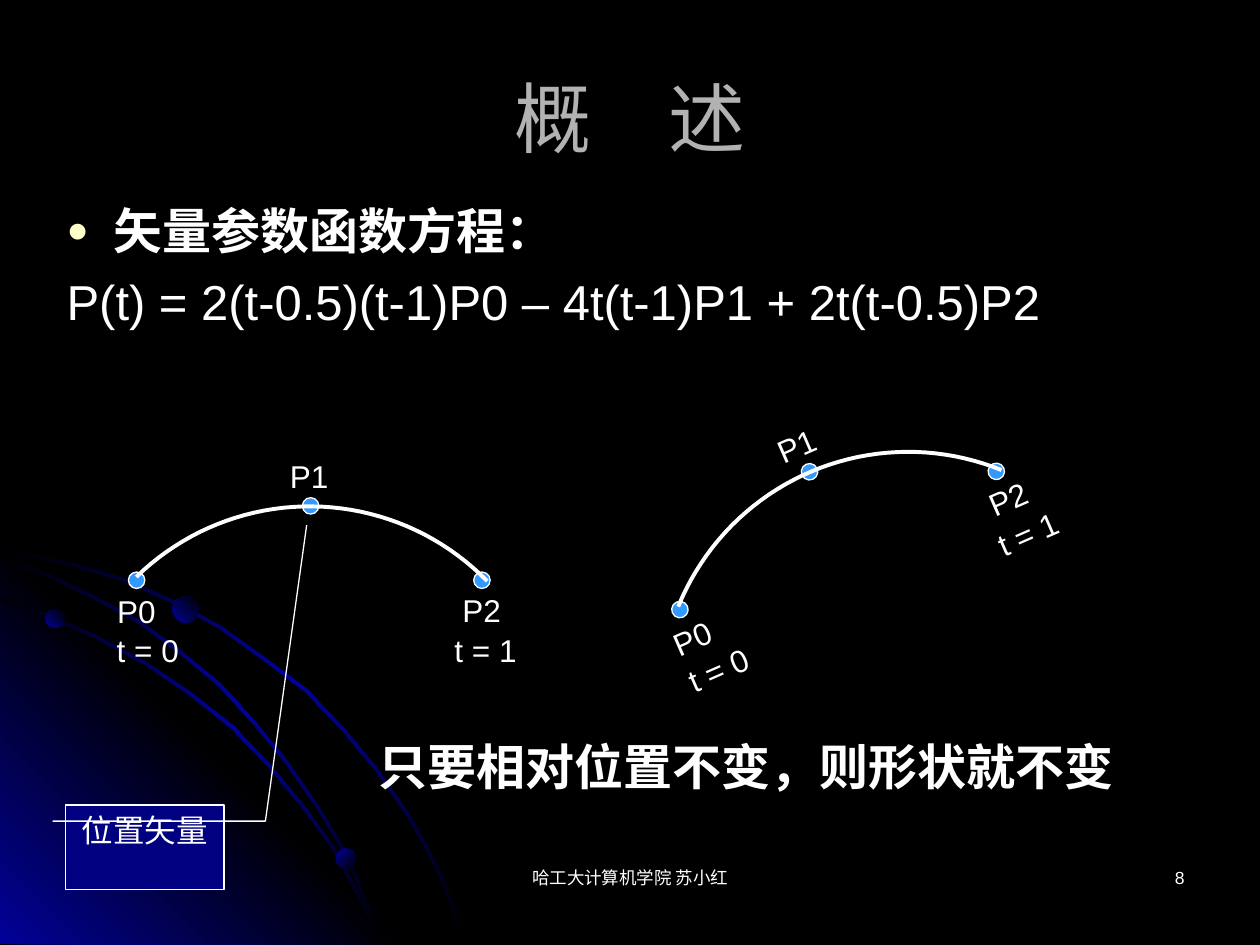
from math import cos, pi, radians, sin
from lxml import etree
from pptx import Presentation
from pptx.dml.color import RGBColor
from pptx.enum.shapes import MSO_SHAPE
from pptx.enum.text import MSO_ANCHOR, PP_ALIGN
from pptx.oxml.ns import qn
from pptx.util import Pt

OVAL, CALLOUT = MSO_SHAPE.OVAL, MSO_SHAPE.LINE_CALLOUT_2
LEFT, CENTER, RIGHT = PP_ALIGN.LEFT, PP_ALIGN.CENTER, PP_ALIGN.RIGHT
MIDDLE, TOP = MSO_ANCHOR.MIDDLE, MSO_ANCHOR.TOP
WHITE, BLACK, BLUE, SKY = "FFFFFF", "000000", "010199", "3399FF"
NAVY, GRAY, CREAM = "000080", "B2B2B2", "FFFFCC"


def color(code):
    return RGBColor.from_string(code)


class Deck:
    font = "Arial"

    def __init__(self, show):
        self.slide = show.slides.add_slide(show.slide_layouts[5])
        self.shapes = self.slide.shapes
        fill = self.slide.background.fill
        fill.solid()
        fill.fore_color.rgb = color(BLACK)

    def label(self, shape, text, size, tone=WHITE, align=LEFT, bold=False,
              before=0, anchor=TOP):
        frame = shape.text_frame
        frame.word_wrap = True
        frame.vertical_anchor = anchor
        frame.text = text
        for para in frame.paragraphs:
            para.alignment = align
            para.space_before = Pt(before)
            for run in para.runs:
                run.font.name = self.font
                run.font.size = Pt(size)
                run.font.bold = bold
                run.font.color.rgb = color(tone)

    def title(self, box, text, size, tone):
        shape = self.shapes.title
        shape.left, shape.top, shape.width, shape.height = map(Pt, box)
        self.label(shape, text, size, tone, CENTER, anchor=MIDDLE)

    def text(self, box, text, size, turn=0, **style):
        shape = self.shapes.add_textbox(*map(Pt, box))
        shape.rotation = turn
        self.label(shape, text, size, **style)
        return shape

    def hang(self, para, indent, mark=None):
        props = para._p.get_or_add_pPr()
        props.set("marL", str(Pt(indent)))
        props.set("indent", str(-Pt(indent)))
        if mark:
            tint = etree.SubElement(props, qn("a:buClr"))
            etree.SubElement(tint, qn("a:srgbClr"), val=mark)
            etree.SubElement(props, qn("a:buSzPct"), val="75000")
            etree.SubElement(props, qn("a:buFont"), typeface=self.font)
            etree.SubElement(props, qn("a:buChar"), char="●")
        else:
            etree.SubElement(props, qn("a:buNone"))

    def shape(self, kind, box, fill, turn=0, line=0.74):
        shape = self.shapes.add_shape(kind, *map(Pt, box))
        shape.shadow.inherit = False
        shape.rotation = turn
        shape.fill.solid()
        shape.fill.fore_color.rgb = color(fill)
        shape.line.color.rgb = color(WHITE)
        shape.line.width = Pt(line)
        return shape

    def fade(self, shape, tones, angle):
        shape.fill.gradient()
        shape.fill.gradient_angle = angle
        stops = shape._element.spPr.find(".//" + qn("a:gsLst"))
        for stop in list(stops):
            stops.remove(stop)
        for i, tone in enumerate(tones):
            spot = str(100000 * i // (len(tones) - 1))
            stop = etree.SubElement(stops, qn("a:gs"), pos=spot)
            etree.SubElement(stop, qn("a:srgbClr"), val=tone)
        shape.line.fill.background()

    def free(self, points, close=True):
        spots = [(Pt(x), Pt(y)) for x, y in points]
        pen = self.shapes.build_freeform(*spots[0])
        pen.add_line_segments(spots[1:], close=close)
        shape = pen.convert_to_shape()
        shape.shadow.inherit = False
        return shape

    def band(self, edge):
        rim = [(x + 1.2, y - 1.4) for x, y in reversed(edge)]
        self.fade(self.free(edge + rim), (BLACK, BLUE, BLACK), 315)

    def arc(self, x, y, size, turn):
        angles = [pi / 2 * i / 40 for i in range(41)]
        left, top = x - size / 2, y - size / 2
        shape = self.free([(left + size * sin(a), top + size * (1 - cos(a)))
                           for a in angles], False)
        shape.fill.background()
        shape.line.color.rgb = color(WHITE)
        shape.line.width = Pt(2.24)
        shape.rotation = turn % 360

    def curve(self, x, y, turn):
        c, s = cos(radians(turn)), sin(radians(turn))

        def place(dx, dy):
            return x + dx * c - dy * s, y + dx * s + dy * c

        for spot in DOTS:
            px, py = place(*spot)
            self.shape(OVAL, (px - 4.7, py - 4.7, 9.4, 9.4), SKY, turn)
        self.arc(*place(0.7, 41.8), 141.8, 315.7 + turn)
        for name, dx, dy, wide in LABELS:
            px, py = place(dx, dy)
            self.text((px - wide / 2, py - 14.4, wide, 28.8), name, 18, turn,
                      before=11.2)


DOTS = [(0, 0), (97.9, 42.5), (-99.4, 42.5)]
LABELS = [("P0", -92.2, 60.1, 51), ("P1", 20.5, -16.9, 79),
          ("P2", 105.1, 59.4, 51), ("t = 0", -83.9, 82.4, 68),
          ("t = 1", 109.1, 82.4, 68)]
OUTER = [(0, 315), (20, 319), (40, 323), (70, 332), (97, 344), (125, 359),
         (150, 377), (174, 395), (195, 417), (215, 441), (233, 467),
         (243, 485), (252, 503), (259, 521), (266, 539)]
INNER = [(0, 343), (28, 353), (55, 365), (83, 380), (108, 397), (132, 416),
         (153, 438), (173, 462), (191, 487), (205, 514), (212, 527),
         (217, 539)]
MID = [(0, 320), (26, 329), (53, 342), (79, 356), (102, 373), (125, 392),
       (145, 414), (163, 436), (181, 462), (192, 480), (202, 500),
       (210, 520), (217, 539)]
BALLS = [(26, 348, 10.8, 45), (192, 485, 11.5, 315), (98.6, 340.6, 15.1, 45)]

show = Presentation()
show.slide_width, show.slide_height = Pt(720), Pt(540)
deck = Deck(show)

deck.band(OUTER)
glow = deck.free([(232, 539.5), (0, 539.5), (0, 307.5)])
deck.fade(glow, (BLUE, BLACK, BLUE), 45)
deck.band(INNER)
deck.band(MID)
for x, y, size, angle in BALLS:
    ball = deck.shape(OVAL, (x, y, size, size), BLUE)
    deck.fade(ball, (BLUE, BLACK), angle)

deck.text((246, 492, 228, 36), "哈工大计算机学院 苏小红", 10, align=CENTER)
deck.text((516, 492, 168, 36), "8", 10, align=RIGHT)
deck.title((36, 21.6, 648, 90), "概　述", 44, GRAY)

body = deck.text((31, 111, 648, 98.6), "矢量参数函数方程：\n"
                 "P(t) = 2(t-0.5)(t-1)P0 – 4t(t-1)P1 + 2t(t-0.5)P2",
                 28, before=7)
head, rule = body.text_frame.paragraphs
head.runs[0].font.bold = True
deck.hang(head, 27, CREAM)
deck.hang(rule, 27)

deck.curve(177.5, 289.1, 0)
deck.curve(462.6, 269.6, -23.6)
deck.text((209.5, 417.6, 450.7, 41), "只要相对位置不变，则形状就不变", 28,
          bold=True, before=17.5)

note = deck.shape(CALLOUT, (37.4, 460.1, 90.7, 48.2), NAVY)
for i, value in enumerate((0.19, -0.08, 0.19, 1.26, -3.32, 1.52)):
    note.adjustments[i] = value
deck.label(note, "位置矢量", 18, align=CENTER, before=11.2)

show.save("out.pptx")
